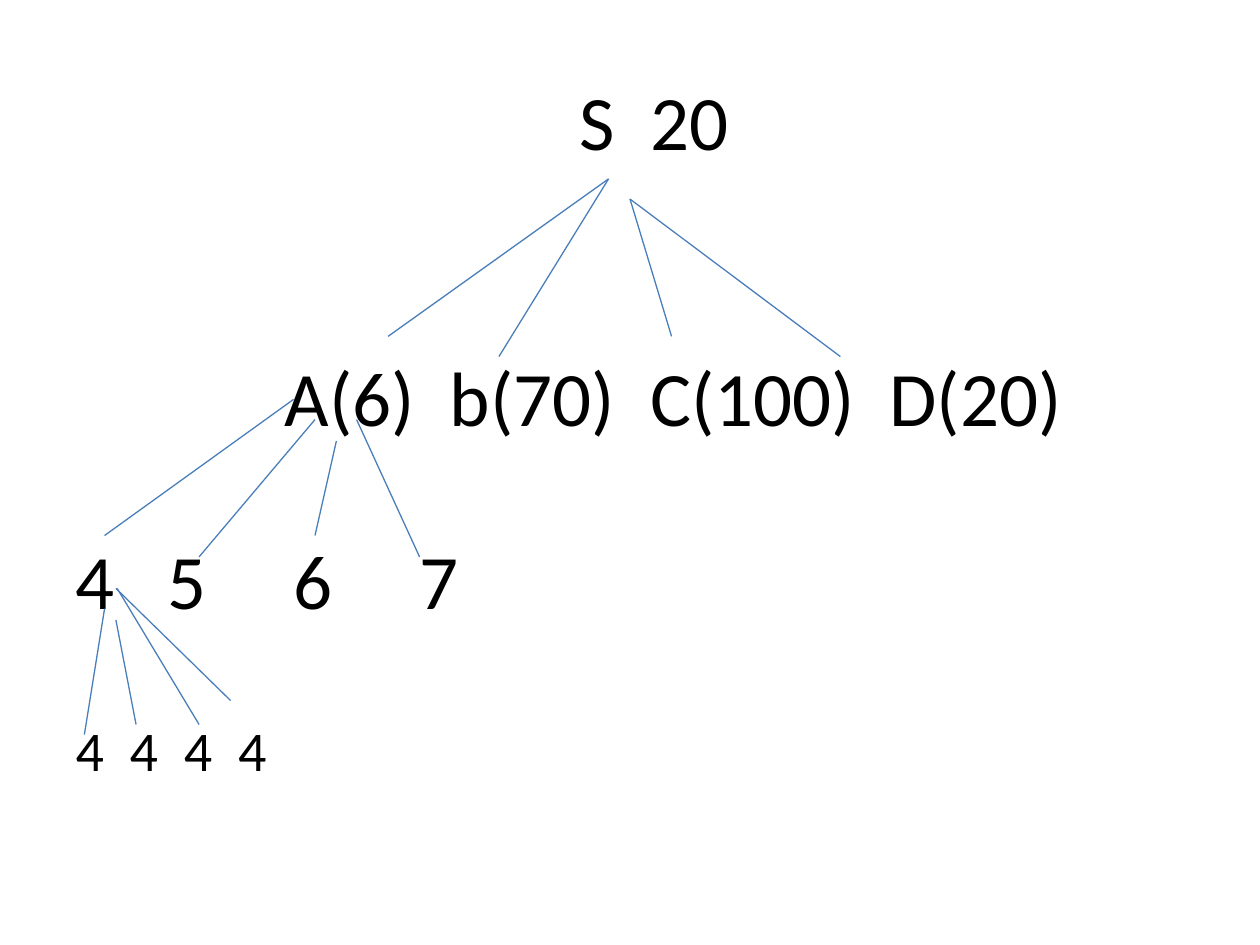
from lxml import etree
from pptx import Presentation
from pptx.dml.color import RGBColor as Rgb
from pptx.enum.shapes import MSO_CONNECTOR as Conn
from pptx.oxml.ns import qn
from pptx.util import Inches, Pt

HUES = {"text": "000000", "line": "4A7EBB"}
FONT = "Calibri"

ROWS = [
    ((4.6, 0.58, 1.4, 0.75), 44, [("S", 0), ("20", 0.56)]),
    ((2.26, 2.77, 6.6, 0.75), 44,
     [("A(6)", 0), ("b(70)", 1.31), ("C(100)", 2.9), ("D(20)", 4.8)]),
    ((0.6, 4.23, 3.4, 0.75), 44,
     [("4", 0), ("5", 0.73), ("6", 1.73), ("7", 2.73)]),
    ((0.6, 5.68, 1.8, 0.55), 32,
     [("4", 0.43 * i) for i in range(4)]),
]

FANS = [
    [((4.83, 1.42), (3.08, 2.67)), ((4.83, 1.42), (3.96, 2.83)),
     ((5, 1.58), (5.33, 2.67)), ((5, 1.58), (6.67, 2.83))],
    [((2.33, 3.17), (0.83, 4.25)), ((2.5, 3.33), (1.58, 4.42)),
     ((2.67, 3.5), (2.5, 4.25)), ((2.83, 3.33), (3.33, 4.42))],
    [((0.83, 4.83), (0.67, 5.83)), ((0.93, 4.67), (1.58, 5.75)),
     ((0.92, 4.67), (1.83, 5.56)), ((0.92, 4.92), (1.08, 5.75))],
]


def add_row(slide, box, size, nodes):
    frame = slide.shapes.add_textbox(*map(Inches, box)).text_frame
    frame.word_wrap = True
    frame.margin_left = frame.margin_right = 0
    frame.margin_top = frame.margin_bottom = 0
    para = frame.paragraphs[0]
    tabs = etree.SubElement(para._p.get_or_add_pPr(), qn("a:tabLst"))
    for name, left in nodes:
        if left:
            etree.SubElement(tabs, qn("a:tab"), pos=str(Inches(left)), algn="l")
        run = para.add_run()
        run.text = "\t" + name if left else name
        run.font.name = FONT
        run.font.size = Pt(size)
        run.font.color.rgb = Rgb.from_string(HUES["text"])


def add_fan(slide, edges):
    for start, end in edges:
        edge = slide.shapes.add_connector(
            Conn.STRAIGHT, *map(Inches, start + end))
        edge.line.color.rgb = Rgb.from_string(HUES["line"])
        edge.line.width = Pt(0.75)
        etree.SubElement(edge._element.spPr, qn("a:effectLst"))


def main():
    deck = Presentation()
    deck.slide_width, deck.slide_height = Inches(10), Inches(7.5)
    slide = deck.slides.add_slide(deck.slide_layouts[6])
    for row in ROWS:
        add_row(slide, *row)
    for edges in FANS:
        add_fan(slide, edges)
    deck.save("out.pptx")


if __name__ == "__main__":
    main()
